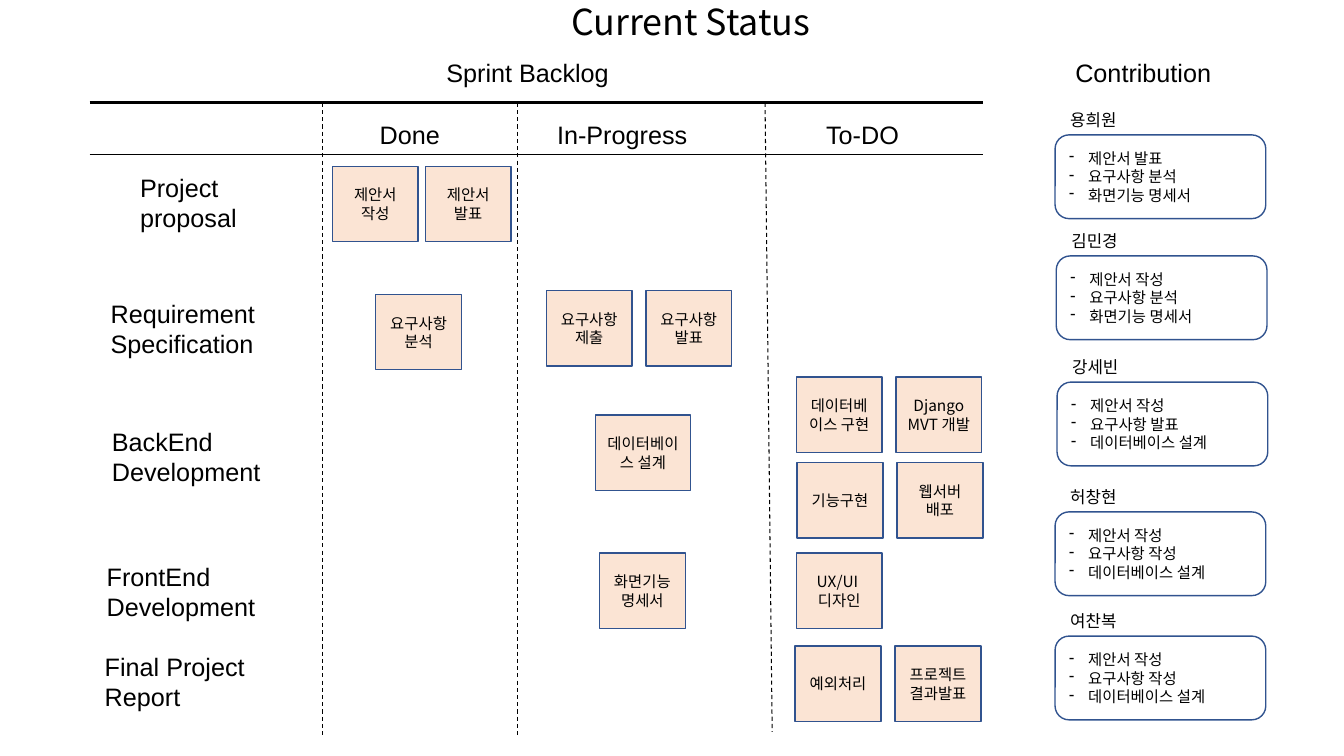
from dataclasses import dataclass

import lxml.etree
import pptx
import pptx.dml.color
import pptx.enum.dml
import pptx.enum.shapes
import pptx.enum.text
import pptx.oxml.ns
import pptx.util

Cm = pptx.util.Cm
Pt = pptx.util.Pt
RGBColor = pptx.dml.color.RGBColor
MSO_SHAPE = pptx.enum.shapes.MSO_SHAPE
PP_ALIGN = pptx.enum.text.PP_ALIGN
MSO_ANCHOR = pptx.enum.text.MSO_ANCHOR
MSO_AUTO_SIZE = pptx.enum.text.MSO_AUTO_SIZE
qn = pptx.oxml.ns.qn

BLACK = RGBColor(0x00, 0x00, 0x00)
PEACH = RGBColor(0xFB, 0xE4, 0xD4)
BLUE = RGBColor(0x31, 0x53, 0x8F)
LATIN_FONT = "Arial"
KOREAN_FONT = "Noto Sans CJK KR"


# All lengths below are in centimetres.
@dataclass
class Label:
    text: str
    left: float
    top: float
    width: float
    height: float = 1.02
    font: str = LATIN_FONT
    size: float = 18


@dataclass
class Card:
    text: str
    left: float
    top: float
    width: float = 2.16


@dataclass
class Contributor:
    name: str
    tasks: str
    left: float
    top: float


@dataclass
class Rule:
    start: tuple[float, float]
    end: tuple[float, float]
    weight: float = 0.75
    dashed: bool = False


CARD_HEIGHT = 1.9
BOX_WIDTH, BOX_HEIGHT = 5.31, 2.11
NAME_WIDTH, NAME_HEIGHT = 2.64, 0.76
NAME_INSET = 0.13
ROW_HEIGHT = 1.8
BULLET_INDENT = 0.48

BOARD_LEFT, BOARD_RIGHT, BOARD_TOP, BOARD_BOTTOM = 2.26, 24.77, 2.59, 18.59
HEADER_BOTTOM = 3.89

RULES = [
    Rule((BOARD_LEFT, BOARD_TOP), (BOARD_RIGHT, BOARD_TOP), weight=2.25),
    Rule((BOARD_LEFT, HEADER_BOTTOM), (BOARD_RIGHT, HEADER_BOTTOM)),
    Rule((8.13, BOARD_TOP), (8.13, BOARD_BOTTOM), dashed=True),
    Rule((13.03, BOARD_TOP), (13.03, BOARD_BOTTOM), dashed=True),
    Rule((19.28, BOARD_TOP), (19.46, 18.44), dashed=True),
]

LABELS = [
    # Headings
    Label("Sprint Backlog", 11, 1.32, 6.27),
    Label("Contribution", 26.85, 1.32, 5.31),
    Label("Done", 9.32, 2.87, 2.51),
    Label("In-Progress", 13.79, 2.87, 5.11),
    Label("To-DO", 20.57, 2.87, 5.11),
    # Work packages
    Label("Project proposal", 3.28, 4.22, 3.56, ROW_HEIGHT),
    Label("Requirement Specification", 2.54, 7.39, 5.54, ROW_HEIGHT),
    Label("BackEnd\nDevelopment", 2.57, 10.62, 4.95, ROW_HEIGHT),
    Label("FrontEnd\nDevelopment", 2.44, 14.02, 4.95, ROW_HEIGHT),
    Label("Final Project Report", 2.39, 16.28, 5.54, ROW_HEIGHT),
]

CARDS = [
    # Done
    Card("제안서\n작성", 8.38, 4.19),
    Card("제안서\n발표", 10.72, 4.19),
    Card("요구사항 분석", 9.47, 7.42),
    # In progress
    Card("요구사항 제출", 13.77, 7.32),
    Card("요구사항 발표", 16.28, 7.32),
    Card("데이터베이스 설계", 15.01, 10.46, 2.39),
    Card("화면기능\n명세서", 15.11, 13.94),
    # To do
    Card("데이터베이스 구현", 20.07, 9.5),
    Card("Django MVT 개발", 22.58, 9.5),
    Card("기능구현", 20.09, 11.66),
    Card("웹서버 배포", 22.61, 11.66),
    Card("UX/UI \n디자인", 20.07, 13.94),
    Card("예외처리", 20.04, 16.28),
    Card("프로젝트\n결과발표", 22.56, 16.28),
]

CONTRIBUTORS = [
    Contributor("용희원", "제안서 발표\n요구사항 분석\n화면기능 명세서", 26.59, 3.4),
    Contributor("김민경", "제안서 작성\n요구사항 분석\n화면기능 명세서", 26.62, 6.45),
    Contributor("강세빈", "제안서 작성\n요구사항 발표\n데이터베이스 설계", 26.64, 9.63),
    Contributor("허창현", "제안서 작성\n요구사항 작성\n데이터베이스 설계", 26.59, 12.9),
    Contributor("여찬복", "제안서 작성\n요구사항 작성\n데이터베이스 설계", 26.59, 16.03),
]


def write_text(shape, text: str, font: str, size: float, alignment=PP_ALIGN.LEFT) -> None:
    text_frame = shape.text_frame
    text_frame.word_wrap = True
    text_frame.text = text
    for paragraph in text_frame.paragraphs:
        paragraph.alignment = alignment
        for run in paragraph.runs:
            run.font.name = font
            run.font.size = Pt(size)
            run.font.color.rgb = BLACK
            east_asian = lxml.etree.SubElement(run.font._element, qn("a:ea"))
            east_asian.set("typeface", font)


def add_label(slide, label: Label):
    shape = slide.shapes.add_textbox(
        Cm(label.left), Cm(label.top), Cm(label.width), Cm(label.height))
    write_text(shape, label.text, label.font, label.size)
    shape.text_frame.auto_size = MSO_AUTO_SIZE.SHAPE_TO_FIT_TEXT
    return shape


def add_outlined_shape(slide, kind, left: float, top: float, width: float, height: float):
    shape = slide.shapes.add_shape(kind, Cm(left), Cm(top), Cm(width), Cm(height))
    shape.shadow.inherit = False
    shape.fill.background()
    shape.line.color.rgb = BLUE
    shape.line.width = Pt(1)
    shape.text_frame.vertical_anchor = MSO_ANCHOR.MIDDLE
    return shape


def add_card(slide, card: Card) -> None:
    shape = add_outlined_shape(
        slide, MSO_SHAPE.RECTANGLE, card.left, card.top, card.width, CARD_HEIGHT)
    shape.fill.solid()
    shape.fill.fore_color.rgb = PEACH
    write_text(shape, card.text, KOREAN_FONT, 11, PP_ALIGN.CENTER)


def add_dash_bullet(paragraph) -> None:
    properties = paragraph._p.get_or_add_pPr()
    properties.set("marL", str(Cm(BULLET_INDENT)))
    properties.set("indent", str(-Cm(BULLET_INDENT)))
    bullet_color = lxml.etree.SubElement(properties, qn("a:buClr"))
    lxml.etree.SubElement(bullet_color, qn("a:srgbClr")).set("val", str(BLACK))
    lxml.etree.SubElement(properties, qn("a:buChar")).set("char", "-")


def add_contributor(slide, person: Contributor) -> None:
    shape = add_outlined_shape(
        slide, MSO_SHAPE.ROUNDED_RECTANGLE, person.left, person.top, BOX_WIDTH, BOX_HEIGHT)
    write_text(shape, person.tasks, KOREAN_FONT, 11)
    for paragraph in shape.text_frame.paragraphs:
        add_dash_bullet(paragraph)
    add_label(slide, Label(person.name, person.left + NAME_INSET, person.top - NAME_HEIGHT,
                           NAME_WIDTH, NAME_HEIGHT, KOREAN_FONT, 12))


def add_rule(slide, rule: Rule) -> None:
    connector = slide.shapes.add_connector(
        pptx.enum.shapes.MSO_CONNECTOR.STRAIGHT, *map(Cm, rule.start + rule.end))
    connector.line.color.rgb = BLACK
    connector.line.width = Pt(rule.weight)
    if rule.dashed:
        connector.line.dash_style = pptx.enum.dml.MSO_LINE.DASH
    lxml.etree.SubElement(connector._element.spPr, qn("a:effectLst"))


def main() -> None:
    presentation = pptx.Presentation()
    presentation.slide_width, presentation.slide_height = Cm(33.87), Cm(19.05)
    slide = presentation.slides.add_slide(presentation.slide_layouts[6])

    # Board
    for rule in RULES:
        add_rule(slide, rule)
    for label in LABELS:
        add_label(slide, label)
    for card in CARDS:
        add_card(slide, card)

    # Contributions
    for person in CONTRIBUTORS:
        add_contributor(slide, person)

    # Title
    title = add_label(slide, Label("Current Status", 4.19, 0.1, 26.44, 1.07, KOREAN_FONT, 25.6))
    title.text_frame.auto_size = MSO_AUTO_SIZE.NONE
    title.text_frame.vertical_anchor = MSO_ANCHOR.BOTTOM
    title.text_frame.paragraphs[0].alignment = PP_ALIGN.CENTER
    title.text_frame.paragraphs[0].line_spacing = 0.7
    presentation.save("out.pptx")


if __name__ == "__main__":
    main()
